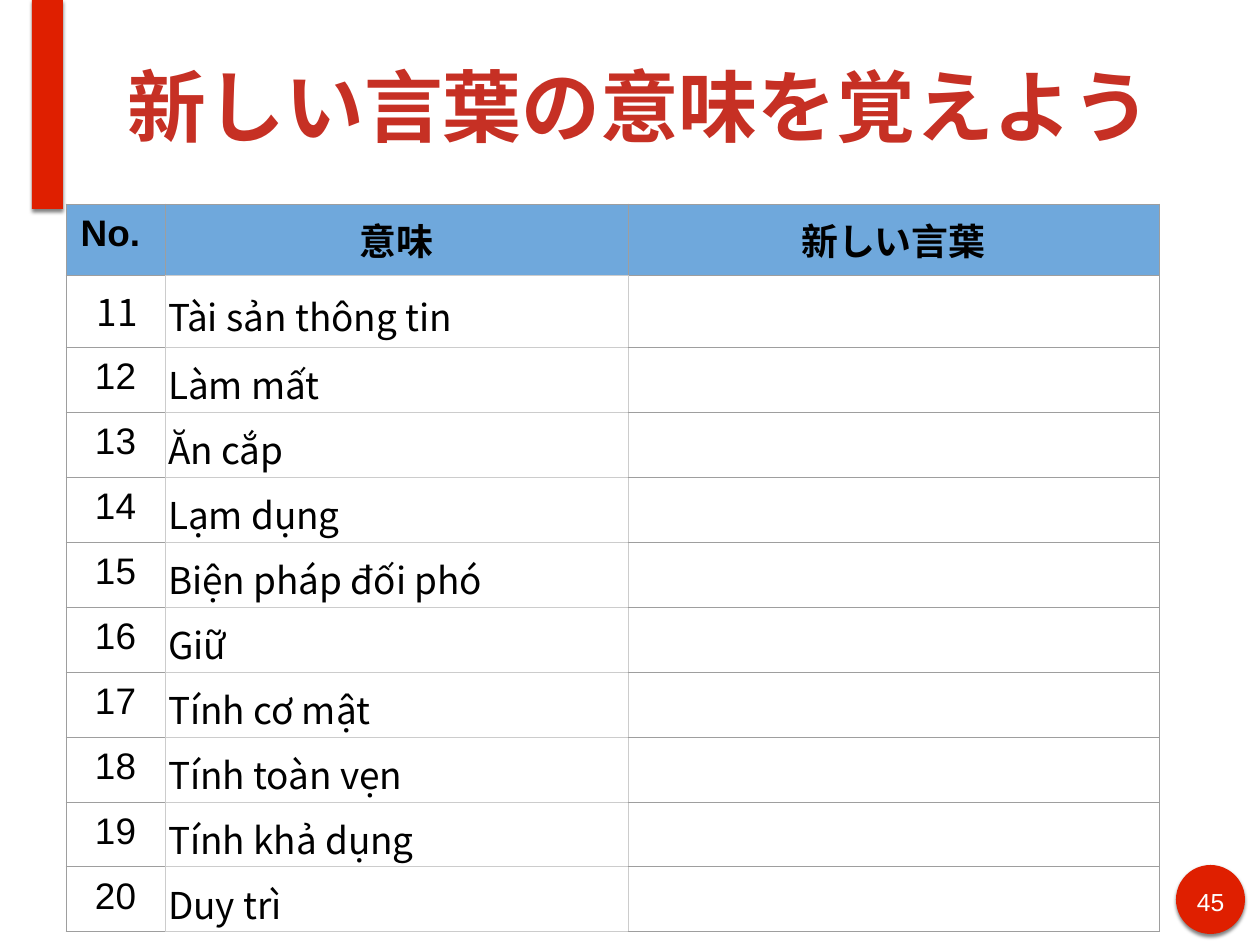
from dataclasses import dataclass

from lxml import etree
from pptx import Presentation
from pptx import util as u
from pptx.dml.color import RGBColor
from pptx.enum import shapes, text
from pptx.oxml import ns

EMU_PER_PX = 10320
COLOURS = {
    "accent": "DF1F00", "title": "C63024", "header": "6FA8DC", "black": "000000",
    "white": "FFFFFF", "dark_rule": "9E9E9E", "light_rule": "CCCCCC",
}
SANS, CJK = "Arial", "Noto Sans CJK JP"
LEFT, CENTER = text.PP_ALIGN.LEFT, text.PP_ALIGN.CENTER
TOP, MIDDLE = text.MSO_ANCHOR.TOP, text.MSO_ANCHOR.MIDDLE

HEADERS = ("No. ", "意味", "新しい言葉")
FIRST_NUMBER = 11
MEANINGS = (
    "Tài sản thông tin", "Làm mất", "Ăn cắp", "Lạm dụng", "Biện pháp đối phó",
    "Giữ", "Tính cơ mật", "Tính toàn vẹn", "Tính khả dụng", "Duy trì",
)
COLUMN_WIDTHS = (99, 463, 531)
ROW_HEIGHTS = (71, 72) + (65,) * (len(MEANINGS) - 1)


@dataclass(frozen=True)
class Box:
    left: int
    top: int
    width: int
    height: int

    def emu(self) -> tuple[int, ...]:
        return tuple(px(n) for n in (self.left, self.top, self.width, self.height))


@dataclass(frozen=True)
class TextStyle:
    size: int
    colour: str = "black"
    font: str = SANS
    bold: bool = False
    align: text.PP_ALIGN = LEFT
    spacing: float = 1.0


@dataclass(frozen=True)
class CellStyle:
    text: TextStyle
    borders: tuple[str, str, str, str]  # left, right, top, bottom
    fill: str | None = None
    margins: tuple[int, int] = (9, 9)  # horizontal, vertical
    anchor: text.MSO_ANCHOR = TOP


DARK, LIGHT = "dark_rule", "light_rule"
HEADER_TEXT = TextStyle(30, bold=True, align=CENTER)
HEADER_CELL = CellStyle(HEADER_TEXT, (DARK,) * 4, "header")
MEANING_HEADER = CellStyle(HEADER_TEXT, (DARK, DARK, DARK, LIGHT), "header")
NUMBER_CELL = CellStyle(TextStyle(30, align=CENTER), (DARK, LIGHT, DARK, DARK))
INDENTED_CELL = CellStyle(TextStyle(30, font=CJK), (DARK, LIGHT, DARK, DARK))
MEANING_CELL = CellStyle(TextStyle(30, font=CJK, spacing=1.15), (LIGHT,) * 4,
                         "white", (3, 2), MIDDLE)
ANSWER_CELL = CellStyle(TextStyle(30), (LIGHT, DARK, DARK, DARK))


def px(length: int) -> int:
    return length * EMU_PER_PX


def rgb(colour: str) -> RGBColor:
    return RGBColor.from_string(COLOURS[colour])


def add_colour(parent, colour: str):
    return etree.SubElement(parent, ns.qn("a:srgbClr"), val=COLOURS[colour])


def style_paragraph(paragraph, style: TextStyle) -> None:
    paragraph.alignment = style.align
    paragraph.line_spacing = style.spacing
    paragraph.font.size = u.Pt(style.size)
    paragraph.font.name = style.font
    paragraph.font.bold = style.bold
    paragraph.font.color.rgb = rgb(style.colour)


def add_accent(slide, kind: shapes.MSO_SHAPE, box: Box) -> None:
    shape = slide.shapes.add_shape(kind, *box.emu())
    shape.fill.solid()
    shape.fill.fore_color.rgb = rgb("accent")
    shape.line.fill.background()
    shape.shadow.inherit = False
    effects = shape._element.spPr.find(ns.qn("a:effectLst"))
    shadow = etree.SubElement(
        effects, ns.qn("a:outerShdw"), blurRad=str(u.Pt(3)), dist=str(u.Pt(2)),
        dir="5400000", rotWithShape="0")
    etree.SubElement(add_colour(shadow, "black"), ns.qn("a:alpha"), val="49000")


def add_text(slide, box: Box, content: str, style: TextStyle,
             anchor: text.MSO_ANCHOR = TOP) -> None:
    frame = slide.shapes.add_textbox(*box.emu()).text_frame
    frame.word_wrap = True
    frame.vertical_anchor = anchor
    frame.margin_left = frame.margin_right = px(5)
    frame.margin_top = frame.margin_bottom = px(5)
    frame.text = content
    style_paragraph(frame.paragraphs[0], style)


def fill_cell(cell, content: str, style: CellStyle) -> None:
    horizontal, vertical = style.margins
    cell.margin_left = cell.margin_right = px(horizontal)
    cell.margin_top = cell.margin_bottom = px(vertical)
    cell.vertical_anchor = style.anchor
    if style.fill:
        cell.fill.solid()
        cell.fill.fore_color.rgb = rgb(style.fill)
    else:
        cell.fill.background()
    properties = cell._tc.get_or_add_tcPr()
    for position, (side, colour) in enumerate(zip("LRTB", style.borders)):
        line = etree.Element(ns.qn(f"a:ln{side}"), w=str(u.Pt(0.75)))
        add_colour(etree.SubElement(line, ns.qn("a:solidFill")), colour)
        properties.insert(position, line)
    cell.text = content
    style_paragraph(cell.text_frame.paragraphs[0], style.text)


def add_word_table(slide) -> None:
    box = Box(66, 204, sum(COLUMN_WIDTHS), sum(ROW_HEIGHTS))
    table = slide.shapes.add_table(
        len(ROW_HEIGHTS), len(HEADERS), *box.emu()).table
    table.first_row = table.horz_banding = False
    for column, width in zip(table.columns, COLUMN_WIDTHS):
        column.width = px(width)
    for row, height in zip(table.rows, ROW_HEIGHTS):
        row.height = px(height)

    header_styles = (HEADER_CELL, MEANING_HEADER, HEADER_CELL)
    for column, (label, style) in enumerate(zip(HEADERS, header_styles)):
        fill_cell(table.cell(0, column), label, style)
    for row, meaning in enumerate(MEANINGS, start=1):
        number_style = INDENTED_CELL if row == 1 else NUMBER_CELL
        fill_cell(table.cell(row, 0), str(FIRST_NUMBER + row - 1), number_style)
        fill_cell(table.cell(row, 1), meaning, MEANING_CELL)
        fill_cell(table.cell(row, 2), "", ANSWER_CELL)

    # The first number has a hanging indent
    indent = table.cell(1, 0).text_frame.paragraphs[0]._p.get_or_add_pPr()
    indent.set("marL", str(px(44)))
    indent.set("indent", str(px(-22)))


def main() -> None:
    presentation = Presentation()
    presentation.slide_width, presentation.slide_height = px(1260), px(945)
    slide = presentation.slides.add_slide(presentation.slide_layouts[6])

    # Accents and page number
    add_accent(slide, shapes.MSO_SHAPE.OVAL, Box(1176, 865, 69, 69))
    add_accent(slide, shapes.MSO_SHAPE.RECTANGLE, Box(32, 0, 31, 209))
    add_text(slide, Box(1189, 882, 43, 35), "45",
             TextStyle(20, "white", align=CENTER))

    # Title and vocabulary table
    add_text(slide, Box(123, 11, 1076, 188), "新しい言葉の意味を覚えよう",
             TextStyle(64, "title", bold=True), MIDDLE)
    add_word_table(slide)
    presentation.save("out.pptx")


if __name__ == "__main__":
    main()
